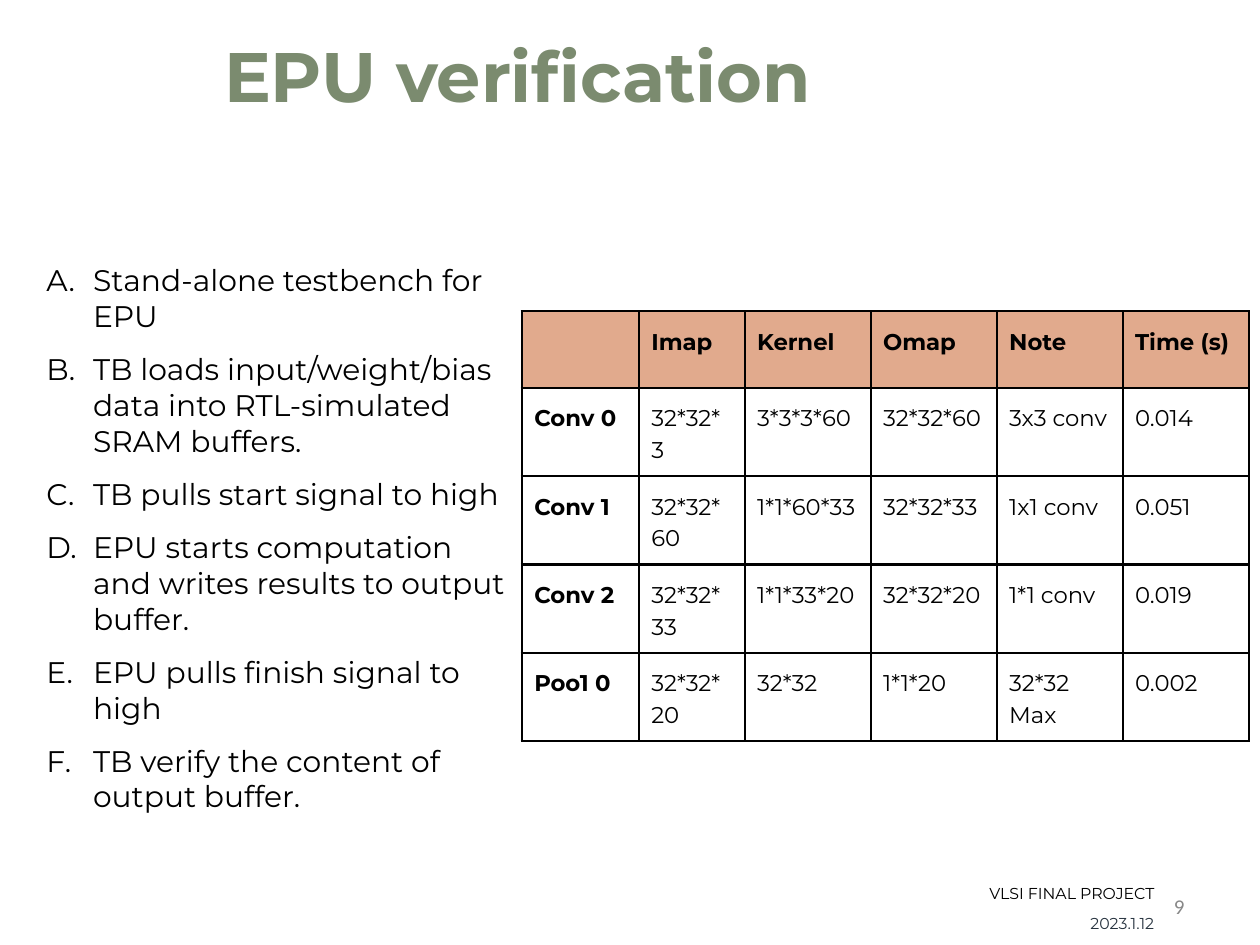
from dataclasses import dataclass

import pptx
import pptx.dml.color
import pptx.enum.text
import pptx.oxml.ns
import pptx.util
from lxml import etree

Inches = pptx.util.Inches
Pt = pptx.util.Pt
Align = pptx.enum.text.PP_ALIGN
Anchor = pptx.enum.text.MSO_ANCHOR
qn = pptx.oxml.ns.qn

COLORS = {
    "black": "000000",
    "title": "7B8B6F",
    "page": "888888",
    "date": "283440",
    "header": "E1AA8D",
}
FONT = "Montserrat"

STEPS = [
    "Stand-alone testbench for EPU",
    "TB loads input/weight/bias data into RTL-simulated SRAM buffers.",
    "TB pulls start signal to high",
    "EPU starts computation and writes results to output buffer.",
    "EPU pulls finish signal to high",
    "TB verify the content of output buffer.",
]
LAYERS = [
    ["", "Imap", "Kernel", "Omap", "Note", "Time (s)"],
    ["Conv 0", "32*32*3", "3*3*3*60", "32*32*60", "3x3 conv", "0.014"],
    ["Conv 1", "32*32*60", "1*1*60*33", "32*32*33", "1x1 conv", "0.051"],
    ["Conv 2", "32*32*33", "1*1*33*20", "32*32*20", "1*1 conv", "0.019"],
    ["Poo1 0", "32*32*20", "32*32", "1*1*20", "32*32 Max", "0.002"],
]
COLUMN_WIDTHS = [0.93, 0.84, 1, 1, 1, 1]
ROW_HEIGHTS = [0.61, 0.7, 0.7, 0.7, 0.7]


@dataclass
class Label:
    lines: list[str]
    left: float
    top: float
    width: float
    height: float
    size: float
    color: str = "black"
    font: str = FONT
    bold: bool = False
    align: Align = Align.LEFT
    anchor: Anchor = Anchor.TOP
    inset_x: float = 0.1
    inset_y: float = 0.05
    line_spacing: float = 1.0
    lettered: bool = False


LABELS = [
    Label(["EPU verification"], 1.68, 0.21, 5.13, 0.77, 40, "title", bold=True),
    Label(["9"], 7.17, 7.03, 2.33, 0.32, 12, "page", "Calibri",
          align=Align.RIGHT, anchor=Anchor.MIDDLE),
    Label(STEPS, 0.14, 1.98, 4.06, 5.05, 17, inset_y=0.1, lettered=True),
    Label(["VLSI FINAL PROJECT"], 7.64, 6.97, 1.59, 0.23, 9,
          align=Align.RIGHT, inset_x=0.07, inset_y=0.04),
    Label(["2023.1.12"], 8.11, 7.08, 1.12, 0.38, 9, "date", align=Align.RIGHT,
          anchor=Anchor.MIDDLE, inset_x=0.07, inset_y=0.04, line_spacing=1.78),
]


def rgb(name: str) -> pptx.dml.color.RGBColor:
    return pptx.dml.color.RGBColor.from_string(COLORS[name])


def style_font(font, size: float, color: str, bold: bool, name: str = FONT) -> None:
    font.name = name
    font.size = Pt(size)
    font.bold = bold
    font.color.rgb = rgb(color)


def add_solid_fill(parent, color: str) -> None:
    fill = etree.SubElement(parent, qn("a:solidFill"))
    etree.SubElement(fill, qn("a:srgbClr"), val=COLORS[color])


def add_letter(para) -> None:
    """Number a paragraph A., B., C. with a hanging indent."""
    properties = para._p.get_or_add_pPr()
    properties.set("marL", str(Inches(0.5)))
    properties.set("indent", str(Inches(-0.37)))
    bullet_color = etree.SubElement(properties, qn("a:buClr"))
    etree.SubElement(bullet_color, qn("a:srgbClr"), val=COLORS["black"])
    etree.SubElement(properties, qn("a:buFont"), typeface=FONT)
    etree.SubElement(properties, qn("a:buAutoNum"), type="alphaUcPeriod")


def add_label(page, label: Label) -> None:
    box = page.shapes.add_textbox(Inches(label.left), Inches(label.top),
                                  Inches(label.width), Inches(label.height))
    frame = box.text_frame
    frame.word_wrap = True
    frame.vertical_anchor = label.anchor
    frame.margin_left = frame.margin_right = Inches(label.inset_x)
    frame.margin_top = frame.margin_bottom = Inches(label.inset_y)
    for index, line in enumerate(label.lines):
        para = frame.add_paragraph() if index else frame.paragraphs[0]
        para.text = line
        para.alignment = label.align
        para.line_spacing = label.line_spacing
        para.space_before = Pt(10 if index else 0)
        if label.lettered:
            add_letter(para)
        style_font(para.font, label.size, label.color, label.bold, label.font)


def add_borders(cell) -> None:
    properties = cell._tc.get_or_add_tcPr()
    for position, side in enumerate(("a:lnL", "a:lnR", "a:lnT", "a:lnB")):
        line = etree.Element(qn(side), w=str(Pt(1.5)))
        add_solid_fill(line, "black")
        properties.insert(position, line)


def fill_cell(cell, text: str, header: bool, bold: bool) -> None:
    cell.margin_left = cell.margin_right = Inches(0.1)
    cell.margin_top = cell.margin_bottom = Inches(0.1)
    if header:
        cell.fill.solid()
        cell.fill.fore_color.rgb = rgb("header")
    else:
        cell.fill.background()
    add_borders(cell)
    para = cell.text_frame.paragraphs[0]
    para.text = text
    para.line_spacing = 1.15
    style_font(para.font, 13, "black", bold)


def add_layer_table(page) -> None:
    table = page.shapes.add_table(
        len(LAYERS), len(COLUMN_WIDTHS), Inches(4.14), Inches(2.47),
        Inches(sum(COLUMN_WIDTHS)), Inches(sum(ROW_HEIGHTS))).table
    table.first_row = table.horz_banding = False
    for column, width in zip(table.columns, COLUMN_WIDTHS):
        column.width = Inches(width)
    for row, height in zip(table.rows, ROW_HEIGHTS):
        row.height = Inches(height)
    for r, values in enumerate(LAYERS):
        for c, text in enumerate(values):
            fill_cell(table.cell(r, c), text, header=r == 0, bold=r == 0 or c == 0)


def main() -> None:
    deck = pptx.Presentation()
    deck.slide_width, deck.slide_height = Inches(10), Inches(7.5)
    page = deck.slides.add_slide(deck.slide_layouts[6])

    # Title, page number and verification steps
    for label in LABELS[:3]:
        add_label(page, label)
    # Layer results
    add_layer_table(page)
    # Footer
    for label in LABELS[3:]:
        add_label(page, label)

    deck.save("out.pptx")


if __name__ == "__main__":
    main()
